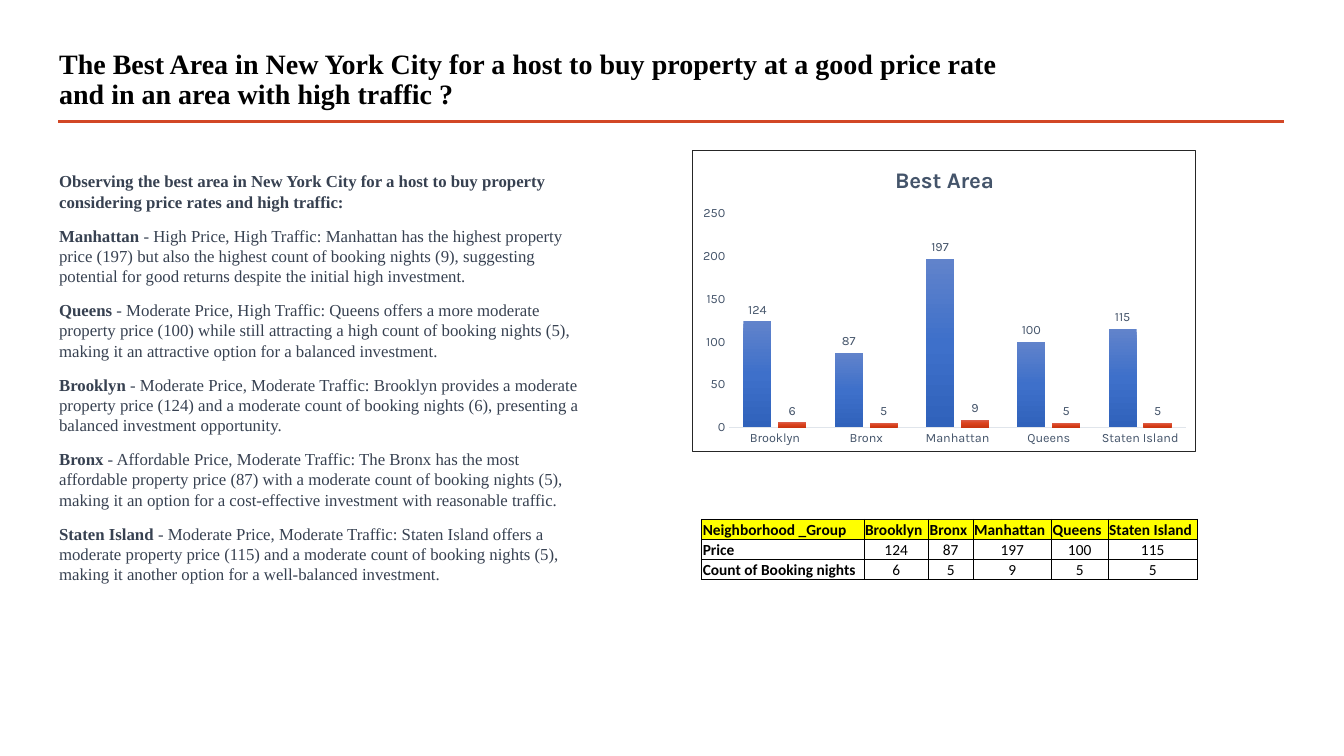
from pptx import Presentation
from pptx.chart.data import CategoryChartData
from pptx.dml.color import RGBColor
from pptx.enum.chart import XL_CHART_TYPE, XL_LABEL_POSITION, XL_TICK_MARK
from pptx.enum.shapes import MSO_CONNECTOR
from pptx.enum.text import MSO_ANCHOR, PP_ALIGN
from pptx.oxml import parse_xml
from pptx.oxml.ns import nsdecls, qn
from pptx.util import Cm, Pt

COLUMN = XL_CHART_TYPE.COLUMN_CLUSTERED
OUTSIDE = XL_LABEL_POSITION.OUTSIDE_END
NO_TICK = XL_TICK_MARK.NONE
STRAIGHT = MSO_CONNECTOR.STRAIGHT
TOP, MIDDLE, BOTTOM = MSO_ANCHOR.TOP, MSO_ANCHOR.MIDDLE, MSO_ANCHOR.BOTTOM
LEFT, CENTER = PP_ALIGN.LEFT, PP_ALIGN.CENTER

BLACK = RGBColor(0x00, 0x00, 0x00)
BODY = RGBColor(0x37, 0x41, 0x51)
SLATE = RGBColor(0x44, 0x54, 0x6A)
RED = RGBColor(0xD2, 0x47, 0x26)
YELLOW = RGBColor(0xFF, 0xFF, 0x00)
PALE = RGBColor(0xE0, 0xE5, 0xEB)
FRAME = RGBColor(0x26, 0x26, 0x26)
BLUES = [RGBColor(0x61, 0x83, 0xCB), RGBColor(0x3E, 0x70, 0xCA), RGBColor(0x30, 0x62, 0xBB)]
REDS = [RGBColor(0xDB, 0x61, 0x50), RGBColor(0xDB, 0x42, 0x1D), RGBColor(0xCA, 0x36, 0x12)]

# Content
TITLE = ("The Best Area in New York City for a host to buy property "
         "at a good price rate and in an area with high traffic ?")
NOTES = [
    ("Observing the best area in New York City for a host to buy property "
     "considering price rates and high traffic:", ""),
    ("Manhattan", " - High Price, High Traffic: Manhattan has the highest property "
     "price (197) but also the highest count of booking nights (9), suggesting "
     "potential for good returns despite the initial high investment."),
    ("Queens", " - Moderate Price, High Traffic: Queens offers a more moderate "
     "property price (100) while still attracting a high count of booking nights (5), "
     "making it an attractive option for a balanced investment."),
    ("Brooklyn", " - Moderate Price, Moderate Traffic: Brooklyn provides a moderate "
     "property price (124) and a moderate count of booking nights (6), presenting a "
     "balanced investment opportunity."),
    ("Bronx", " - Affordable Price, Moderate Traffic: The Bronx has the most "
     "affordable property price (87) with a moderate count of booking nights (5), "
     "making it an option for a cost-effective investment with reasonable traffic."),
    ("Staten Island", " - Moderate Price, Moderate Traffic: Staten Island offers a "
     "moderate property price (115) and a moderate count of booking nights (5), "
     "making it another option for a well-balanced investment."),
]
AREAS = ["Brooklyn", "Bronx", "Manhattan", "Queens", "Staten Island"]
PRICES = [124, 87, 197, 100, 115]
NIGHTS = [6, 5, 9, 5, 5]
ROWS = [["Neighborhood _Group", *AREAS],
        ["Price", *PRICES],
        ["Count of Booking nights", *NIGHTS]]

# Places in cm: left, top, width, height
TITLE_BOX = (1.24, 1.14, 25.4, 1.78)
NOTE_BOX = (1.24, 4.19, 13.82, 11.05)
CHART_BOX = (17.45, 3.78, 12.7, 7.62)
RULE = (1.47, 3.07, 32.36, 3.07)
GRID_AT = (17.68, 13.08)
COLS = [4.09, 1.63, 1.12, 1.98, 1.42, 2.26]
ROW_H = 0.51

# Formats
HEAD = dict(name="Times New Roman", size=Pt(20), bold=True, color=BLACK)
NOTE = dict(name="Times New Roman", size=Pt(12), color=BODY)
LABEL = dict(name="Karla", size=Pt(9), bold=False, color=SLATE)
NAME = dict(name="Karla", size=Pt(16), bold=True, color=SLATE)
CELL = dict(name="Calibri", size=Pt(11), color=BLACK)
INSET = dict(margin_left=Cm(0.03), margin_right=Cm(0.03), margin_top=Cm(0.03),
             margin_bottom=0, vertical_anchor=BOTTOM)
AXIS = dict(major_tick_mark=NO_TICK, minor_tick_mark=NO_TICK, has_major_gridlines=False)
SCALE = dict(minimum_scale=0, maximum_scale=250, major_unit=50)
TAGS = dict(show_value=True, position=OUTSIDE, number_format="0",
            number_format_is_linked=False)


def put(item, **fmt):
    for key, value in fmt.items():
        if key == "color":
            item.color.rgb = value
        else:
            setattr(item, key, value)


def cms(box):
    return [Cm(n) for n in box]


def add_text(slide, box, anchor):
    frame = slide.shapes.add_textbox(*cms(box)).text_frame
    put(frame, word_wrap=True, vertical_anchor=anchor)
    return frame


def add_run(para, text, **fmt):
    run = para.add_run()
    run.text = text
    put(run.font, **fmt)


def add_rule(slide):
    rule = slide.shapes.add_connector(STRAIGHT, *cms(RULE))
    put(rule.line, color=RED, width=Pt(2))
    rule.element.spPr.append(parse_xml(f"<a:effectLst {nsdecls('a')}/>"))


def add_notes(slide):
    frame = add_text(slide, NOTE_BOX, TOP)
    for i, (lead, rest) in enumerate(NOTES):
        para = frame.add_paragraph() if i else frame.paragraphs[0]
        para.space_before = Pt(10)
        add_run(para, lead, bold=True, **NOTE)
        if rest:
            add_run(para, rest, bold=False, **NOTE)


def add_bars(slide):
    data = CategoryChartData(number_format="0")
    data.categories = AREAS
    data.add_series("Series 1", PRICES)
    data.add_series("Series 2", NIGHTS)
    chart = slide.shapes.add_chart(COLUMN, *cms(CHART_BOX), data).chart
    put(chart, has_legend=False, has_title=True)
    put(chart.font, name="Karla", size=Pt(10), color=BLACK)
    head = chart.chart_title.text_frame.paragraphs[0]
    add_run(head, "Best Area", **NAME)

    # Axes
    areas, scale = chart.category_axis, chart.value_axis
    for axis in (areas, scale):
        put(axis, **AXIS)
        put(axis.tick_labels, number_format="0", number_format_is_linked=False)
        put(axis.tick_labels.font, **LABEL)
    put(scale, **SCALE)
    put(areas.format.line, color=PALE, width=Pt(0.75))
    scale.format.line.fill.background()

    # Bars, with three colour stops each
    plot = chart.plots[0]
    put(plot, gap_width=100, overlap=-24, vary_by_categories=False)
    for bars in plot.series:
        bars.format.fill.gradient()
        bars.format.fill.gradient_angle = 270
        put(bars.data_labels, **TAGS)
        put(bars.data_labels.font, **LABEL)
    for stops, hues in zip(chart.element.iter(qn("a:gsLst")), (BLUES, REDS)):
        stops.clear()
        for i, hue in enumerate(hues):
            stops.append(parse_xml(f'<a:gs {nsdecls("a")} pos="{i * 50000}">'
                                   f'<a:srgbClr val="{hue}"/></a:gs>'))

    # Border of the chart area
    chart.element.find(qn("c:chart")).addnext(parse_xml(
        f'<c:spPr {nsdecls("c", "a")}><a:noFill/><a:ln w="{Pt(0.75)}"><a:solidFill>'
        f'<a:srgbClr val="{FRAME}"/></a:solidFill></a:ln></c:spPr>'))


def add_grid(slide):
    size = (sum(COLS), ROW_H * len(ROWS))
    frame = slide.shapes.add_table(len(ROWS), len(COLS), *cms(GRID_AT + size))
    table = frame.table
    for col, width in zip(table.columns, COLS):
        col.width = Cm(width)
    for r, row in enumerate(ROWS):
        table.rows[r].height = Cm(ROW_H)
        for c, value in enumerate(row):
            cell = table.cell(r, c)
            put(cell, **INSET)
            if r == 0:
                cell.fill.solid()
                cell.fill.fore_color.rgb = YELLOW
            else:
                cell.fill.background()
            para = cell.text_frame.paragraphs[0]
            para.alignment = CENTER if r and c else LEFT
            add_run(para, str(value), bold=r == 0 or c == 0, **CELL)
    for props in frame.element.iter(qn("a:tcPr")):
        for i, side in enumerate("LRTB"):
            props.insert(i, parse_xml(
                f'<a:ln{side} {nsdecls("a")} w="{Pt(0.5)}"><a:solidFill>'
                f'<a:srgbClr val="{BLACK}"/></a:solidFill></a:ln{side}>'))


def main():
    deck = Presentation()
    put(deck, slide_width=Cm(33.87), slide_height=Cm(19.05))
    slide = deck.slides.add_slide(deck.slide_layouts[6])
    add_rule(slide)
    title = add_text(slide, TITLE_BOX, MIDDLE).paragraphs[0]
    title.line_spacing = 0.9
    add_run(title, TITLE, **HEAD)
    add_notes(slide)
    add_bars(slide)
    add_grid(slide)
    deck.save("out.pptx")


if __name__ == "__main__":
    main()
